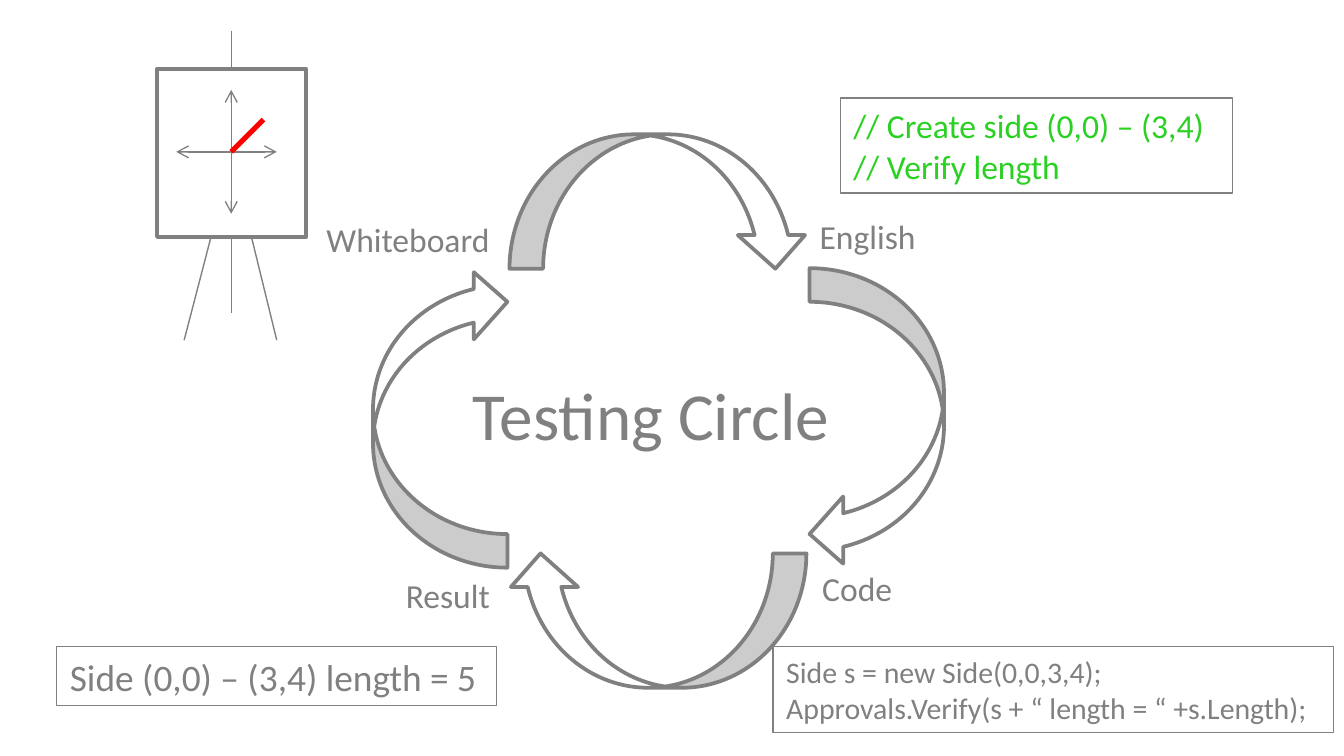
from lxml import etree
from pptx import Presentation
from pptx.dml.color import RGBColor
from pptx.enum.shapes import MSO_CONNECTOR, MSO_SHAPE
from pptx.enum.text import MSO_AUTO_SIZE, PP_ALIGN
from pptx.oxml.ns import qn
from pptx.util import Cm, Pt

GRAY = RGBColor(0x80, 0x80, 0x80)
WHITE = RGBColor(0xFF, 0xFF, 0xFF)
GREEN = RGBColor(0x2A, 0xD1, 0x22)
RED = RGBColor(0xFF, 0x00, 0x00)
RECTANGLE = MSO_SHAPE.RECTANGLE
CURVED_ARROW = MSO_SHAPE.CURVED_DOWN_ARROW
STRAIGHT = MSO_CONNECTOR.STRAIGHT
FIT_TEXT = MSO_AUTO_SIZE.SHAPE_TO_FIT_TEXT
LEFT = PP_ALIGN.LEFT


def add_outlined_shape(shapes, kind, left, top, width, height, line_width):
    shape = shapes.add_shape(kind, Cm(left), Cm(top), Cm(width), Cm(height))
    shape.shadow.inherit = False
    shape.fill.solid()
    shape.fill.fore_color.rgb = WHITE
    shape.line.color.rgb = GRAY
    shape.line.width = Pt(line_width)
    return shape


def write_text(shape, lines, size, color, wrap=True):
    frame = shape.text_frame
    frame.text = "\n".join(lines)
    frame.word_wrap = wrap
    frame.auto_size = FIT_TEXT
    for paragraph in frame.paragraphs:
        paragraph.alignment = LEFT
        paragraph.font.name = "Calibri"
        paragraph.font.size = Pt(size)
        paragraph.font.color.rgb = color


presentation = Presentation()
presentation.slide_width = Cm(25.4)
presentation.slide_height = Cm(14.29)
slide = presentation.slides.add_slide(presentation.slide_layouts[6])

# Cycle of four curved arrows
for left, top, rotation in [
    (5.49, 6.63, 270),
    (13.74, 6.63, 90),
    (9.63, 2.54, 0),
    (9.58, 10.46, 180),
]:
    arrow = add_outlined_shape(slide.shapes, CURVED_ARROW, left, top, 5.66, 2.54, 2)
    arrow.rotation = rotation

# Stage labels and title
for text, left, top, width, height, size, wrap in [
    ("English", 15.24, 3.96, 3.12, 1.02, 18, True),
    ("Code", 15.29, 10.62, 1.85, 1.02, 18, False),
    ("Result", 7.42, 10.74, 2.13, 1.02, 18, True),
    ("Whiteboard", 5.92, 4.01, 3.71, 1.02, 18, True),
    ("Testing Circle", 8.69, 6.93, 7.47, 1.8, 36, False),
]:
    label = slide.shapes.add_textbox(Cm(left), Cm(top), Cm(width), Cm(height))
    write_text(label, [text], size, GRAY, wrap)

# Whiteboard on its easel, with axes and the drawn side
whiteboard = slide.shapes.add_group_shape()
add_outlined_shape(whiteboard.shapes, RECTANGLE, 2.97, 1.3, 2.82, 3.18, 2)
center_x, center_y, board_top, board_bottom = 4.37, 2.87, 1.3, 4.47
for x1, y1, x2, y2, color, line_width, has_arrows in [
    (center_x, 0.58, center_x, board_top, GRAY, 0.75, False),
    (3.48, 6.43, 3.99, board_bottom, GRAY, 0.75, False),
    (center_x, 5.92, center_x, board_bottom, GRAY, 0.75, False),
    (5.23, 6.43, 4.75, board_bottom, GRAY, 0.75, False),
    (center_x, 1.7, center_x, 4.04, GRAY, 0.75, True),
    (3.33, center_y, 5.23, center_y, GRAY, 0.75, True),
    (center_x, center_y, 4.98, 2.26, RED, 2.75, False),
]:
    connector = whiteboard.shapes.add_connector(STRAIGHT, Cm(x1), Cm(y1), Cm(x2), Cm(y2))
    connector.line.color.rgb = color
    connector.line.width = Pt(line_width)
    properties = connector.element.spPr
    if has_arrows:
        outline = properties.find(qn("a:ln"))
        for end in ("a:headEnd", "a:tailEnd"):
            etree.SubElement(outline, qn(end), type="arrow")
    etree.SubElement(properties, qn("a:effectLst"))

# Example for each stage
for lines, left, top, width, height, size, color in [
    (["// Create side (0,0) – (3,4)", "// Verify length"],
     15.88, 1.85, 7.42, 1.8, 18, GREEN),
    (["Side s = new Side(0,0,3,4);", "Approvals.Verify(s + “ length = “ +s.Length);"],
     14.61, 12.22, 10.59, 1.63, 16, GRAY),
    (["Side (0,0) – (3,4) length = 5"], 1.07, 12.22, 8.31, 1.12, 20, GRAY),
]:
    box = add_outlined_shape(slide.shapes, RECTANGLE, left, top, width, height, 0.75)
    write_text(box, lines, size, color)

presentation.save("out.pptx")
